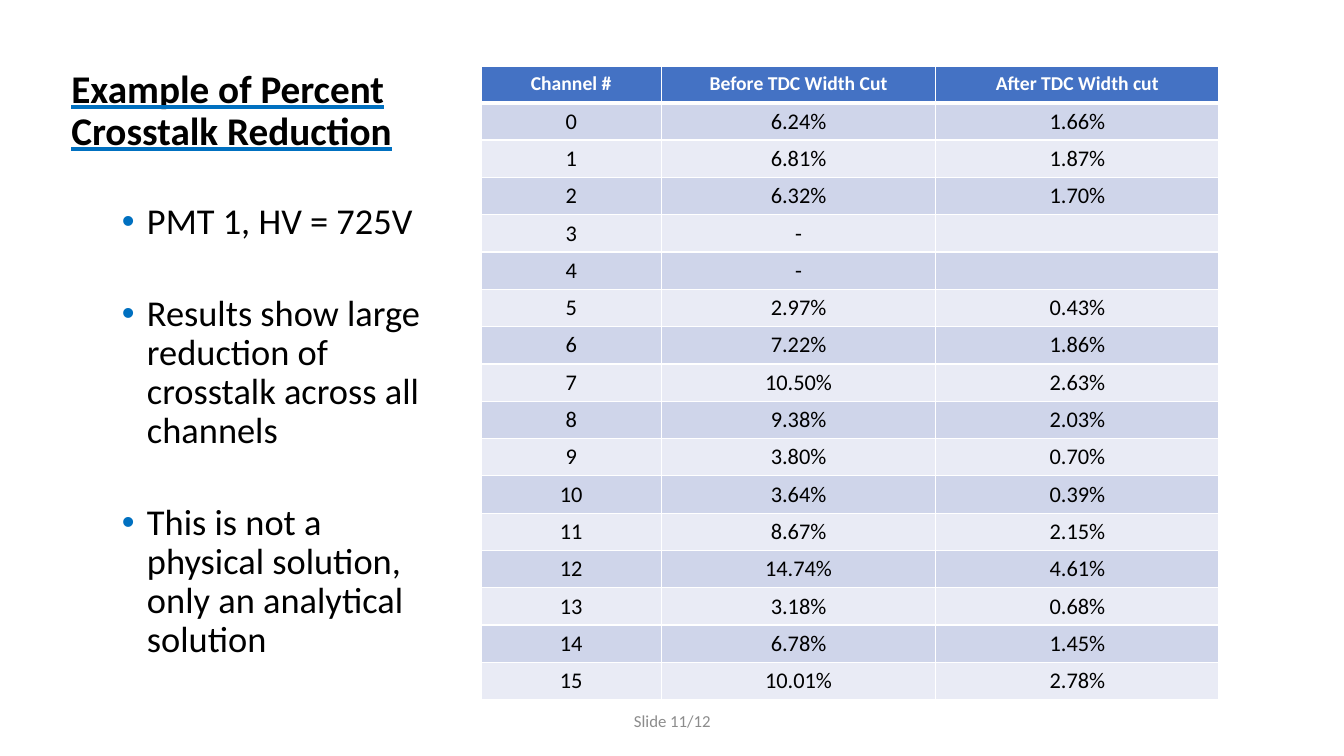
"""Build the slide on percent crosstalk reduction per channel."""
from lxml import etree
from pptx import Presentation
from pptx import util as u
from pptx.dml.color import RGBColor
from pptx.enum import text
from pptx.oxml.ns import qn

BLUE, BLACK, WHITE = "0070C0", "000000", "FFFFFF"
HEADER_FILL, BAND_FILLS = "4472C4", ("E9EBF5", "CFD5EA")


def color(value):
    return RGBColor.from_string(value)


def write(paragraph, words, ink, **font_format):
    run = paragraph.add_run()
    run.text = words
    for name, value in {"name": "Calibri", **font_format}.items():
        setattr(run.font, name, value)
    run.font.color.rgb = color(ink)
    return run


presentation = Presentation()
presentation.slide_width, presentation.slide_height = u.Cm(33.87), u.Cm(19.05)
slide = presentation.slides.add_slide(presentation.slide_layouts[6])

body = slide.shapes.add_textbox(u.Cm(1.55), u.Cm(1.63), u.Cm(9.88), u.Cm(15.54))
frame = body.text_frame
frame.word_wrap = True
heading = frame.paragraphs[0]
heading.line_spacing = 0.89
title = write(heading, "Example of Percent Crosstalk Reduction", BLACK,
              size=u.Pt(28), bold=True, underline=True)
underline = etree.Element(qn("a:uFill"))
underline_fill = etree.SubElement(underline, qn("a:solidFill"))
etree.SubElement(underline_fill, qn("a:srgbClr"), val=BLUE)
title.font._element.find(qn("a:latin")).addprevious(underline)

points = [
    ("PMT 1, HV = 725V", 36),
    ("Results show large reduction of crosstalk across all channels", 38),
    ("This is not a physical solution, only an analytical solution", 38),
]
for words, gap in points:
    paragraph = frame.add_paragraph()
    paragraph.line_spacing = 0.89
    paragraph.space_before = u.Pt(gap)
    properties = paragraph._p.get_or_add_pPr()
    properties.set("marL", str(u.Cm(1.905)))
    properties.set("indent", str(-u.Cm(0.635)))
    bullet_color = etree.SubElement(properties, qn("a:buClr"))
    etree.SubElement(bullet_color, qn("a:srgbClr"), val=BLUE)
    etree.SubElement(properties, qn("a:buFont"), typeface="Arial")
    etree.SubElement(properties, qn("a:buChar"), char="•")
    write(paragraph, words, BLACK, size=u.Pt(26))

reductions = [
    ("6.24%", "1.66%"), ("6.81%", "1.87%"), ("6.32%", "1.70%"), ("-", ""),
    ("-", ""), ("2.97%", "0.43%"), ("7.22%", "1.86%"), ("10.50%", "2.63%"),
    ("9.38%", "2.03%"), ("3.80%", "0.70%"), ("3.64%", "0.39%"),
    ("8.67%", "2.15%"), ("14.74%", "4.61%"), ("3.18%", "0.68%"),
    ("6.78%", "1.45%"), ("10.01%", "2.78%"),
]
rows = [("Channel #", "Before TDC Width Cut", "After TDC Width cut")]
rows += [(str(channel), *values) for channel, values in enumerate(reductions)]
column_widths = (4.55, 6.91, 7.14)
table = slide.shapes.add_table(
    len(rows), len(column_widths), u.Cm(12.12), u.Cm(1.68),
    u.Cm(sum(column_widths)), u.Cm(15.95)).table
for column, width in zip(table.columns, column_widths):
    column.width = u.Cm(width)

for row_index, values in enumerate(rows):
    is_header = row_index == 0
    table.rows[row_index].height = u.Cm(0.91 if is_header else 0.94)
    border_widths = {"L": 1, "R": 1, "T": 3 if row_index == 1 else 1,
                     "B": 3 if is_header else 1}
    size = u.Pt(14 if is_header else 16)
    for column_index, words in enumerate(values):
        cell = table.cell(row_index, column_index)
        cell_properties = cell._tc.get_or_add_tcPr()
        for side, width in border_widths.items():
            border = etree.SubElement(cell_properties, qn(f"a:ln{side}"),
                                      w=str(u.Pt(width)))
            border_fill = etree.SubElement(border, qn("a:solidFill"))
            etree.SubElement(border_fill, qn("a:srgbClr"), val=WHITE)
        cell.fill.solid()
        cell.fill.fore_color.rgb = color(
            HEADER_FILL if is_header else BAND_FILLS[row_index % 2])
        paragraph = cell.text_frame.paragraphs[0]
        paragraph.alignment = text.PP_ALIGN.CENTER
        if words:
            write(paragraph, words, WHITE if is_header else BLACK,
                  size=size, bold=is_header)
        else:
            etree.SubElement(paragraph._p, qn("a:endParaRPr"),
                             sz=str(int(size.pt * 100)))

footer = slide.shapes.add_textbox(u.Cm(11.23), u.Cm(17.65), u.Cm(11.43), u.Cm(1.02))
footer.text_frame.word_wrap = True
footer.text_frame.vertical_anchor = text.MSO_ANCHOR.MIDDLE
footer_line = footer.text_frame.paragraphs[0]
footer_line.alignment = text.PP_ALIGN.CENTER
write(footer_line, "Slide 11/12", "8C8C8C", size=u.Pt(12))

presentation.save("out.pptx")
